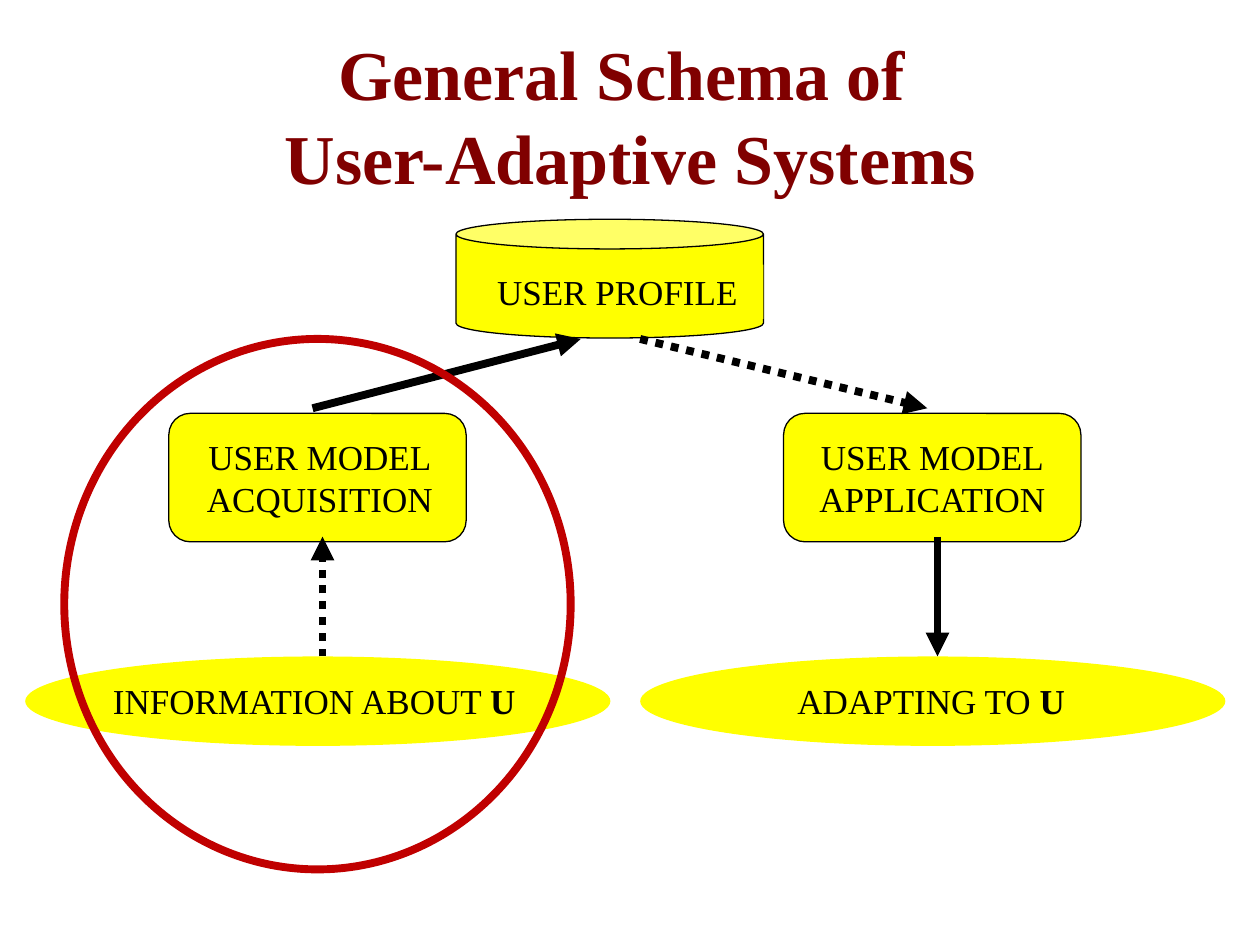
"""Build the slide showing the general schema of user-adaptive systems."""
from typing import NamedTuple, Optional

from lxml.etree import SubElement
from pptx import Presentation
from pptx.dml.color import RGBColor
from pptx.enum.dml import MSO_LINE
from pptx.enum.shapes import MSO_CONNECTOR, MSO_SHAPE
from pptx.enum.text import MSO_ANCHOR, PP_ALIGN
from pptx.oxml.ns import qn
from pptx.util import Pt

YELLOW = RGBColor(0xFF, 0xFF, 0x00)
BLACK = RGBColor(0x00, 0x00, 0x00)
MAROON = RGBColor(0x80, 0x00, 0x00)
RED = RGBColor(0xC0, 0x00, 0x00)
FONT = "Times New Roman"
THIN, THICK = 0.75, 4.5
LEFT, CENTER = PP_ALIGN.LEFT, PP_ALIGN.CENTER


class Box(NamedTuple):
    left: float
    top: float
    width: float
    height: float


class Outline(NamedTuple):
    color: RGBColor
    width: float


class Label(NamedTuple):
    box: Box
    lines: tuple[str, ...]
    emphasis: str = ""
    filled: bool = True
    align: PP_ALIGN = CENTER
    size: float = 20
    color: RGBColor = BLACK
    bold: bool = False
    anchor: MSO_ANCHOR = MSO_ANCHOR.TOP


class Node(NamedTuple):
    kind: MSO_SHAPE
    box: Box
    label: Label
    outline: Optional[Outline] = None


class Arrow(NamedTuple):
    start: tuple[float, float]
    end: tuple[float, float]
    dotted: bool = False


def draw_outline(line, outline: Optional[Outline]) -> None:
    if outline is None:
        line.fill.background()
        return
    line.color.rgb = outline.color
    line.width = Pt(outline.width)


def draw_shape(shapes, kind: MSO_SHAPE, box: Box, fill: Optional[RGBColor],
               outline: Optional[Outline]) -> None:
    shape = shapes.add_shape(kind, *map(Pt, box))
    shape.shadow.inherit = False
    if fill is None:
        shape.fill.background()
    else:
        shape.fill.solid()
        shape.fill.fore_color.rgb = fill
    draw_outline(shape.line, outline)


def add_text(paragraph, text: str, label: Label, bold: bool) -> None:
    run = paragraph.add_run()
    run.text = text
    run.font.color.rgb = label.color
    style = {"name": FONT, "size": Pt(label.size), "bold": bold}
    for attribute, value in style.items():
        setattr(run.font, attribute, value)


def draw_label(shapes, label: Label) -> None:
    text_box = shapes.add_textbox(*map(Pt, label.box))
    if label.filled:
        text_box.fill.solid()
        text_box.fill.fore_color.rgb = YELLOW
    frame = text_box.text_frame
    frame.word_wrap = label.align == CENTER
    frame.vertical_anchor = label.anchor
    paragraph = frame.paragraphs[0]
    paragraph.alignment = label.align
    for index, text in enumerate(label.lines):
        if index:
            paragraph.add_line_break()
        add_text(paragraph, text, label, label.bold)
    if label.emphasis:
        add_text(paragraph, label.emphasis, label, True)


def draw_node(shapes, node: Node) -> None:
    draw_shape(shapes, node.kind, node.box, YELLOW, node.outline)
    draw_label(shapes, node.label)


def draw_arrow(shapes, arrow: Arrow) -> None:
    connector = shapes.add_connector(
        MSO_CONNECTOR.STRAIGHT, *map(Pt, arrow.start + arrow.end))
    draw_outline(connector.line, Outline(BLACK, THICK))
    if arrow.dotted:
        connector.line.dash_style = MSO_LINE.ROUND_DOT
    properties = connector.element.spPr
    SubElement(properties.find(qn("a:ln")), qn("a:tailEnd"), type="triangle")
    SubElement(properties, qn("a:effectLst"))


EDGE = Outline(BLACK, THIN)
MODEL_TOP, MODEL_WIDTH, MODEL_HEIGHT = 236.2, 169.9, 73.4
BASE_TOP, BASE_WIDTH, BASE_HEIGHT = 375.1, 334.4, 51.1
MODEL_TEXT_TOP, BASE_TEXT_TOP = 245.5, 384.9
PROFILE_BOTTOM, MODEL_EDGE, MODEL_EXIT = 193.7, 233.3, 306.7

TITLE = Label(Box(14.4, 20.2, 691.5, 90), ("General Schema of ", "User-Adaptive Systems"),
              filled=False, size=40, color=MAROON, bold=True, anchor=MSO_ANCHOR.MIDDLE)
NODES = (
    Node(MSO_SHAPE.CAN, Box(260.6, 125.3, 175.7, 67.9),
         Label(Box(269.3, 151.2, 167, 31), ("USER PROFILE",)), EDGE),
    Node(MSO_SHAPE.ROUNDED_RECTANGLE, Box(96.5, MODEL_TOP, MODEL_WIDTH, MODEL_HEIGHT),
         Label(Box(105.1, MODEL_TEXT_TOP, 155.5, 55.4), ("USER MODEL", "ACQUISITION")), EDGE),
    Node(MSO_SHAPE.ROUNDED_RECTANGLE, Box(447.8, MODEL_TOP, MODEL_WIDTH, MODEL_HEIGHT),
         Label(Box(445, MODEL_TEXT_TOP, 175.7, 55.4), ("USER MODEL", "APPLICATION"),
               filled=False), EDGE),
    Node(MSO_SHAPE.OVAL, Box(14.4, BASE_TOP, BASE_WIDTH, BASE_HEIGHT),
         Label(Box(57.4, BASE_TEXT_TOP, 248.4, 31), ("INFORMATION ABOUT ",), "U", align=LEFT)),
    Node(MSO_SHAPE.OVAL, Box(365.8, BASE_TOP, BASE_WIDTH, BASE_HEIGHT),
         Label(Box(448.6, BASE_TEXT_TOP, 168.5, 31), ("ADAPTING TO ",), "U",
               filled=False, align=LEFT)),
)
ARROWS = (
    Arrow((184.3, BASE_TOP), (184.3, MODEL_EXIT), dotted=True),
    Arrow((178.6, MODEL_EDGE), (331.9, PROFILE_BOTTOM)),
    Arrow((365.8, PROFILE_BOTTOM), (529.9, MODEL_EDGE), dotted=True),
    Arrow((535.7, MODEL_EXIT), (535.7, BASE_TOP)),
)
HIGHLIGHT = Box(36.7, PROFILE_BOTTOM, 289.4, 303.1)


def main() -> None:
    presentation = Presentation()
    presentation.slide_width, presentation.slide_height = Pt(720), Pt(540)
    shapes = presentation.slides.add_slide(presentation.slide_layouts[6]).shapes
    draw_label(shapes, TITLE)
    for node in NODES:
        draw_node(shapes, node)
    for arrow in ARROWS:
        draw_arrow(shapes, arrow)
    draw_shape(shapes, MSO_SHAPE.OVAL, HIGHLIGHT, None, Outline(RED, THICK))
    presentation.save("out.pptx")


if __name__ == "__main__":
    main()
